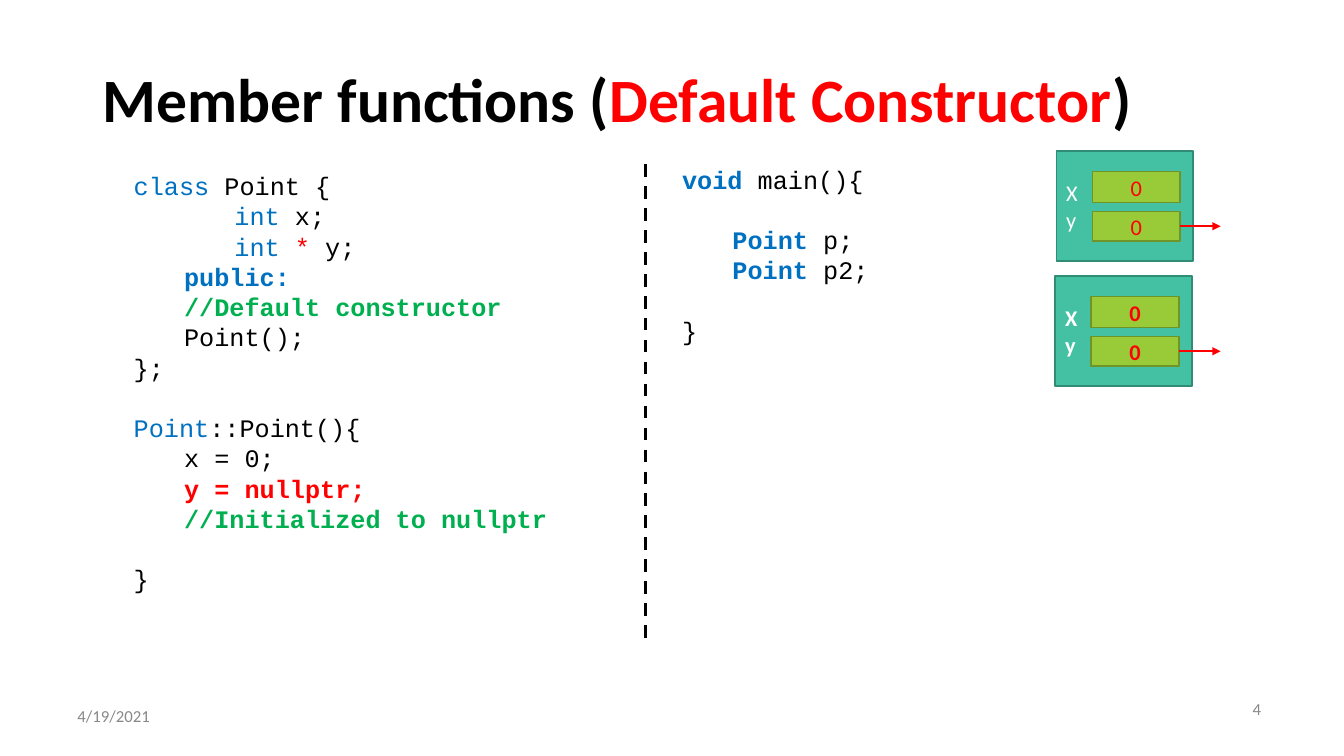
from dataclasses import dataclass

from pptx import Presentation
from pptx.dml.color import RGBColor as Rgb
from pptx.enum.dml import MSO_LINE
from pptx.enum.shapes import MSO_CONNECTOR, MSO_SHAPE
from pptx.enum.text import MSO_ANCHOR as Anchor, MSO_AUTO_SIZE as AutoSize, PP_ALIGN as Align
from pptx.oxml.ns import qn
from pptx.util import Cm, Pt


@dataclass(frozen=True)
class Theme:
    """Colours, fonts and type sizes of the slide."""
    black: str = "000000"
    white: str = "FFFFFF"
    red: str = "FF0000"
    keyword: str = "0070C0"
    comment: str = "00B050"
    footer: str = "888888"
    member: str = "99CB38"
    member_line: str = "6F9428"
    instance: str = "44C1A3"
    instance_line: str = "318C76"
    text_font: str = "Calibri"
    code_font: str = "Courier New"
    title_size: float = 44
    code_size: float = 18
    label_size: float = 16
    footer_size: float = 12
    code_line: float = 21.6


THEME = Theme()
INDENT = Cm(1.27)

CLASS_CODE = [
    (0, 0, [("class", THEME.keyword, False), (" Point {", THEME.black, False)]),
    (2, 0, [("int ", THEME.keyword, False), ("x;", THEME.black, False)]),
    (2, 0, [("int ", THEME.keyword, False), ("* ", THEME.red, False), ("y;", THEME.black, False)]),
    (1, 0, [("public:", THEME.keyword, True)]),
    (1, 0, [("//Default constructor", THEME.comment, True)]),
    (1, 0, [("Point();", THEME.black, False)]),
    (0, 0, [("};", THEME.black, False)]),
    (0, 1, [("Point", THEME.keyword, False), ("::Point(){", THEME.black, False)]),
    (1, 0, [("x = 0;", THEME.black, False)]),
    (1, 0, [("y = nullptr;", THEME.red, True)]),
    (1, 0, [("//Initialized to nullptr", THEME.comment, True)]),
    (0, 1, [("}", THEME.black, False)]),
]
MAIN_CODE = [
    (0, 0, [("void", THEME.keyword, True), (" main(){", THEME.black, False)]),
    (1, 1, [("Point", THEME.keyword, True), (" p;", THEME.black, False)]),
    (1, 0, [("Point", THEME.keyword, True), (" p2;", THEME.black, False)]),
    (0, 1, [("}", THEME.black, False)]),
]


def apply_format(target, values):
    """Set each attribute of the target from a dict."""
    for name, value in values.items():
        setattr(target, name, value)


def add_run(paragraph, text, color, size, bold=False, font=THEME.text_font):
    """Append one formatted run to a paragraph."""
    run = paragraph.add_run()
    run.text = text
    apply_format(run.font, {"name": font, "size": Pt(size), "bold": bold})
    run.font.color.rgb = Rgb.from_string(color)


def add_title(slide, runs):
    """Place and fill the title placeholder."""
    title = slide.shapes.title
    apply_format(title, {"left": Cm(2.34), "top": Cm(1.02), "width": Cm(29.21), "height": Cm(3.15)})
    apply_format(title.text_frame, {"vertical_anchor": Anchor.MIDDLE, "word_wrap": True,
                                    "auto_size": AutoSize.NONE})
    paragraph = title.text_frame.paragraphs[0]
    apply_format(paragraph, {"alignment": Align.LEFT, "line_spacing": 0.9})
    for text, color in runs:
        add_run(paragraph, text, color, THEME.title_size, True)


def add_footer(slide, text, left, top, alignment):
    """Add a small grey footer text."""
    frame = slide.shapes.add_textbox(Cm(left), Cm(top), Cm(7.62), Cm(1.02)).text_frame
    apply_format(frame, {"word_wrap": True, "vertical_anchor": Anchor.MIDDLE})
    frame.paragraphs[0].alignment = alignment
    add_run(frame.paragraphs[0], text, THEME.footer, THEME.footer_size)


def add_code(slide, lines, left, top, width, height):
    """Add a code listing from (indent, blank lines before, runs) entries."""
    frame = slide.shapes.add_textbox(Cm(left), Cm(top), Cm(width), Cm(height)).text_frame
    apply_format(frame, {"word_wrap": True, "auto_size": AutoSize.SHAPE_TO_FIT_TEXT})
    for index, (level, blanks, runs) in enumerate(lines):
        paragraph = frame.add_paragraph() if index else frame.paragraphs[0]
        apply_format(paragraph, {"level": level, "space_before": Pt(blanks * THEME.code_line)})
        properties = paragraph._p.get_or_add_pPr()
        properties.set("marL", str(level * INDENT))
        properties.set("indent", "0")
        for text, color, bold in runs:
            add_run(paragraph, text, color, THEME.code_size, bold, THEME.code_font)


def add_line(shapes, start, end, color, width):
    """Add a straight line without a shadow."""
    line = shapes.add_connector(MSO_CONNECTOR.STRAIGHT, *map(Cm, start + end))
    line.line.color.rgb = Rgb.from_string(color)
    line.line.width = Pt(width)
    properties = line._element.spPr
    properties.append(properties.makeelement(qn("a:effectLst"), {}))
    return line


def add_box(shapes, bounds, fill, outline, labels, color, alignment, bold):
    """Add a filled rectangle with one paragraph per label."""
    box = shapes.add_shape(MSO_SHAPE.RECTANGLE, *map(Cm, bounds))
    box.shadow.inherit = False
    box.fill.solid()
    box.fill.fore_color.rgb = Rgb.from_string(fill)
    box.line.color.rgb = Rgb.from_string(outline)
    box.line.width = Pt(1)
    frame = box.text_frame
    apply_format(frame, {"word_wrap": True, "vertical_anchor": Anchor.MIDDLE})
    for index, label in enumerate(labels):
        paragraph = frame.add_paragraph() if index else frame.paragraphs[0]
        paragraph.alignment = alignment
        add_run(paragraph, label, color, THEME.label_size, bold)
    return box


def add_instance(slide, left, top, bold):
    """Add a grouped Point object with its two members and the pointer arrow."""
    shapes = slide.shapes.add_group_shape().shapes
    add_box(shapes, (left, top, 3.45, 2.77), THEME.instance, THEME.instance_line,
            ["X", "y"], THEME.white, Align.LEFT, bold)
    for offset, height in ((0.51, 0.79), (1.52, 0.74)):
        member = add_box(shapes, (left + 0.91, top + offset, 2.21, height), THEME.member,
                         THEME.member_line, ["0"], THEME.red, Align.CENTER, bold)
    middle = top + offset + height / 2
    arrow = add_line(shapes, (left + 3.12, middle), (30.76, middle), THEME.red, 1.5)
    arrow.begin_connect(member, 3)
    outline = arrow.line._get_or_add_ln()
    outline.append(outline.makeelement(qn("a:tailEnd"), {"type": "triangle"}))


def main():
    """Build and save the slide."""
    presentation = Presentation()
    apply_format(presentation, {"slide_width": Cm(33.87), "slide_height": Cm(19.05)})
    slide = presentation.slides.add_slide(presentation.slide_layouts.get_by_name("Title Only"))
    add_title(slide, [("Member functions (", THEME.black), ("Default Constructor", THEME.red),
                      (")", THEME.black)])
    add_footer(slide, "4/19/2021", 1.7, 17.53, Align.LEFT)
    add_footer(slide, "4", 24.41, 17.35, Align.RIGHT)
    add_code(slide, CLASS_CODE, 3.12, 4.17, 12.45, 11.63)
    divider = add_line(slide.shapes, (16.26, 4.14), (16.26, 16.28), THEME.black, 2.25)
    divider.line.dash_style = MSO_LINE.DASH
    add_code(slide, MAIN_CODE, 16.94, 4.01, 16.41, 4.88)
    add_instance(slide, 26.62, 3.81, False)
    add_instance(slide, 26.59, 6.96, True)
    presentation.save("out.pptx")


if __name__ == "__main__":
    main()
